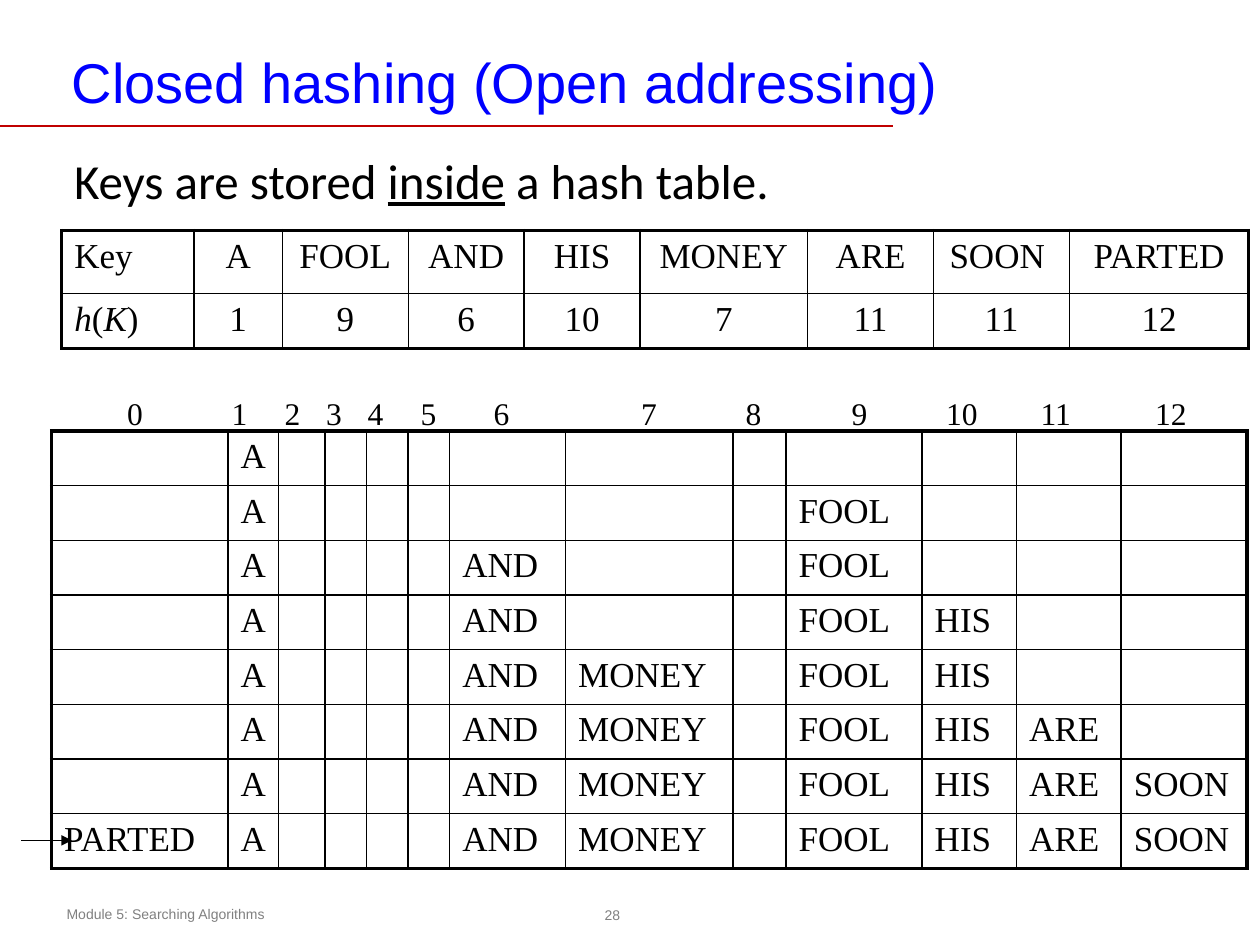
from dataclasses import dataclass

from lxml import etree
from pptx import Presentation
from pptx.dml.color import RGBColor
from pptx.enum.shapes import MSO_CONNECTOR, MSO_SHAPE
from pptx.enum.text import MSO_ANCHOR, PP_ALIGN
from pptx.oxml.ns import qn
from pptx.util import Inches, Pt

STRAIGHT = MSO_CONNECTOR.STRAIGHT
OVAL = MSO_SHAPE.OVAL
TOP, MIDDLE = MSO_ANCHOR.TOP, MSO_ANCHOR.MIDDLE
LEFT, CENTER = PP_ALIGN.LEFT, PP_ALIGN.CENTER


@dataclass(frozen=True)
class Style:
    font: str
    size: float
    color: str


@dataclass(frozen=True)
class Theme:
    title: Style = Style("Arial", 32, "0000FF")
    body: Style = Style("Calibri", 28, "000000")
    cell: Style = Style("Times New Roman", 20, "000000")
    slot: Style = Style("Times New Roman", 18, "000000")
    footer: Style = Style("Arial", 8, "808080")
    ink: str = "000000"
    rule: str = "C00000"
    rule_width: float = 1
    arrow_width: float = 0.75
    outer_border: float = 2.25
    inner_border: float = 1


@dataclass(frozen=True)
class Run:
    text: str
    italic: bool = False
    underline: bool = False


@dataclass(frozen=True)
class Box:
    left: float
    top: float
    width: float
    height: float

    def lengths(self) -> list:
        return [Inches(v) for v in (self.left, self.top, self.width, self.height)]


@dataclass(frozen=True)
class Key:
    word: str
    hash: int


@dataclass(frozen=True)
class SlotLabel:
    left: float
    width: float = 0.42


THEME = Theme()
SLOT_COUNT = 13
KEYS = [Key("A", 1), Key("FOOL", 9), Key("AND", 6), Key("HIS", 10),
        Key("MONEY", 7), Key("ARE", 11), Key("SOON ", 11), Key("PARTED", 12)]
KEY_WIDTHS = [1.05, 0.7, 1, 0.92, 0.92, 1.33, 1, 1.08, 1.42]
SLOT_WIDTHS = [1.4, 0.4, 0.37, 0.33, 0.33, 0.33, 0.92, 1.33, 0.42, 1.08, 0.75, 0.83, 1]
SLOT_LABELS = [SlotLabel(x) for x in (0.91, 1.74, 2.16, 2.49, 2.82, 3.24, 3.82,
                                      4.99, 5.82, 6.66)]
SLOT_LABELS += [SlotLabel(x, 0.58) for x in (7.41, 8.16, 9.07)]


def write(frame, runs: list[Run], style: Style, align=LEFT) -> None:
    paragraph = frame.paragraphs[0]
    paragraph.alignment = align
    for part in runs:
        run = paragraph.add_run()
        run.text = part.text
        font_format = {"name": style.font, "size": Pt(style.size),
                       "italic": part.italic, "underline": part.underline}
        for attribute, value in font_format.items():
            setattr(run.font, attribute, value)
        run.font.color.rgb = RGBColor.from_string(style.color)


def add_text(slide, box: Box, runs: list[Run], style: Style, anchor=TOP,
             insets: tuple[float, float] = (0.1, 0.05)):
    frame = slide.shapes.add_textbox(*box.lengths()).text_frame
    side, end = (Inches(v) for v in insets)
    frame_format = {"word_wrap": True, "vertical_anchor": anchor,
                    "margin_left": side, "margin_right": side,
                    "margin_top": end, "margin_bottom": end}
    for attribute, value in frame_format.items():
        setattr(frame, attribute, value)
    write(frame, runs, style)
    return frame


def add_line(slide, start: tuple[float, float], end: tuple[float, float],
             color: str, width: float, arrow: bool = False) -> None:
    line = slide.shapes.add_connector(STRAIGHT, *(Inches(v) for v in start + end))
    line.line.color.rgb = RGBColor.from_string(color)
    line.line.width = Pt(width)
    if arrow:
        etree.SubElement(line.line._get_or_add_ln(), qn("a:tailEnd"), type="triangle")
    etree.SubElement(line._element.spPr, qn("a:effectLst"))


def add_border(cell, side: str, width: float) -> None:
    border = etree.SubElement(cell._tc.get_or_add_tcPr(), qn(f"a:ln{side}"),
                              w=str(Pt(width)))
    fill = etree.SubElement(border, qn("a:solidFill"))
    etree.SubElement(fill, qn("a:srgbClr"), val=THEME.ink)


def add_grid(slide, box: Box, widths: list[float], heights: list[float],
             rows: list[list[list[Run]]], align=LEFT) -> None:
    table = slide.shapes.add_table(len(heights), len(widths), *box.lengths()).table
    table.first_row = table.horz_banding = False
    for column, width in zip(table.columns, widths):
        column.width = Inches(width)
    for row, height in zip(table.rows, heights):
        row.height = Inches(height)
    for r, row in enumerate(rows):
        for c, runs in enumerate(row):
            cell = table.cell(r, c)
            outer_sides = {"L": c == 0, "R": c == len(widths) - 1,
                           "T": r == 0, "B": r == len(heights) - 1}
            for side, outer in outer_sides.items():
                add_border(cell, side,
                           THEME.outer_border if outer else THEME.inner_border)
            cell.fill.background()
            write(cell.text_frame, runs, THEME.cell, align if c else LEFT)


def probe_snapshots() -> list[list[str]]:
    slots = [""] * SLOT_COUNT
    snapshots = []
    for key in KEYS:
        slot = key.hash
        while slots[slot]:
            slot = (slot + 1) % SLOT_COUNT
        slots[slot] = key.word.strip()
        snapshots.append(list(slots))
    return snapshots


def add_page_number(slide, number: str) -> None:
    badge = slide.shapes.add_shape(OVAL, *Box(4.74, 7.13, 0.24, 0.26).lengths())
    badge.shadow.inherit = False
    badge.fill.background()
    badge.line.fill.background()
    frame = badge.text_frame
    frame_format = {"word_wrap": False, "vertical_anchor": MIDDLE}
    frame_format |= {f"margin_{side}": Inches(0.04)
                     for side in ("left", "right", "top", "bottom")}
    for attribute, value in frame_format.items():
        setattr(frame, attribute, value)
    write(frame, [Run(number)], THEME.footer, CENTER)


def main() -> None:
    deck = Presentation()
    deck.slide_width, deck.slide_height = Inches(10), Inches(7.5)
    slide = deck.slides.add_slide(deck.slide_layouts[6])

    add_page_number(slide, "28")
    add_text(slide, Box(0.43, 7.14, 3.64, 0.24),
             [Run("Module 5: Searching Algorithms")], THEME.footer)
    add_line(slide, (0, 1), (7.09, 1), THEME.rule, THEME.rule_width)
    add_text(slide, Box(0.5, 0.3, 9, 0.69), [Run("Closed hashing (Open addressing)")],
             THEME.title, MIDDLE, (0.07, 0.03))
    statement = add_text(slide, Box(0.49, 1.17, 9.42, 5.36),
                         [Run("Keys are stored "), Run("inside", underline=True),
                          Run(" a hash table.")], THEME.body)
    statement.paragraphs[0].line_spacing = 0.97

    snapshots = probe_snapshots()
    add_grid(slide, Box(0.41, 3.42, 9.5, 3.47), SLOT_WIDTHS,
             [3.47 / len(snapshots)] * len(snapshots),
             [[[Run(word)] if word else [] for word in slots] for slots in snapshots])

    hash_heading = [Run("h", italic=True), Run("("), Run("K", italic=True), Run(")")]
    add_grid(slide, Box(0.49, 1.83, 9.42, 0.93), KEY_WIDTHS, [0.5, 0.43],
             [[[Run("Key")]] + [[Run(key.word)] for key in KEYS],
              [hash_heading] + [[Run(str(key.hash))] for key in KEYS]], CENTER)

    add_line(slide, (0.17, 6.67), (0.57, 6.67), THEME.ink, THEME.arrow_width, arrow=True)
    for slot, label in enumerate(SLOT_LABELS):
        add_text(slide, Box(label.left, 3.08, label.width, 0.41),
                 [Run(str(slot))], THEME.slot)

    deck.save("out.pptx")


if __name__ == "__main__":
    main()
